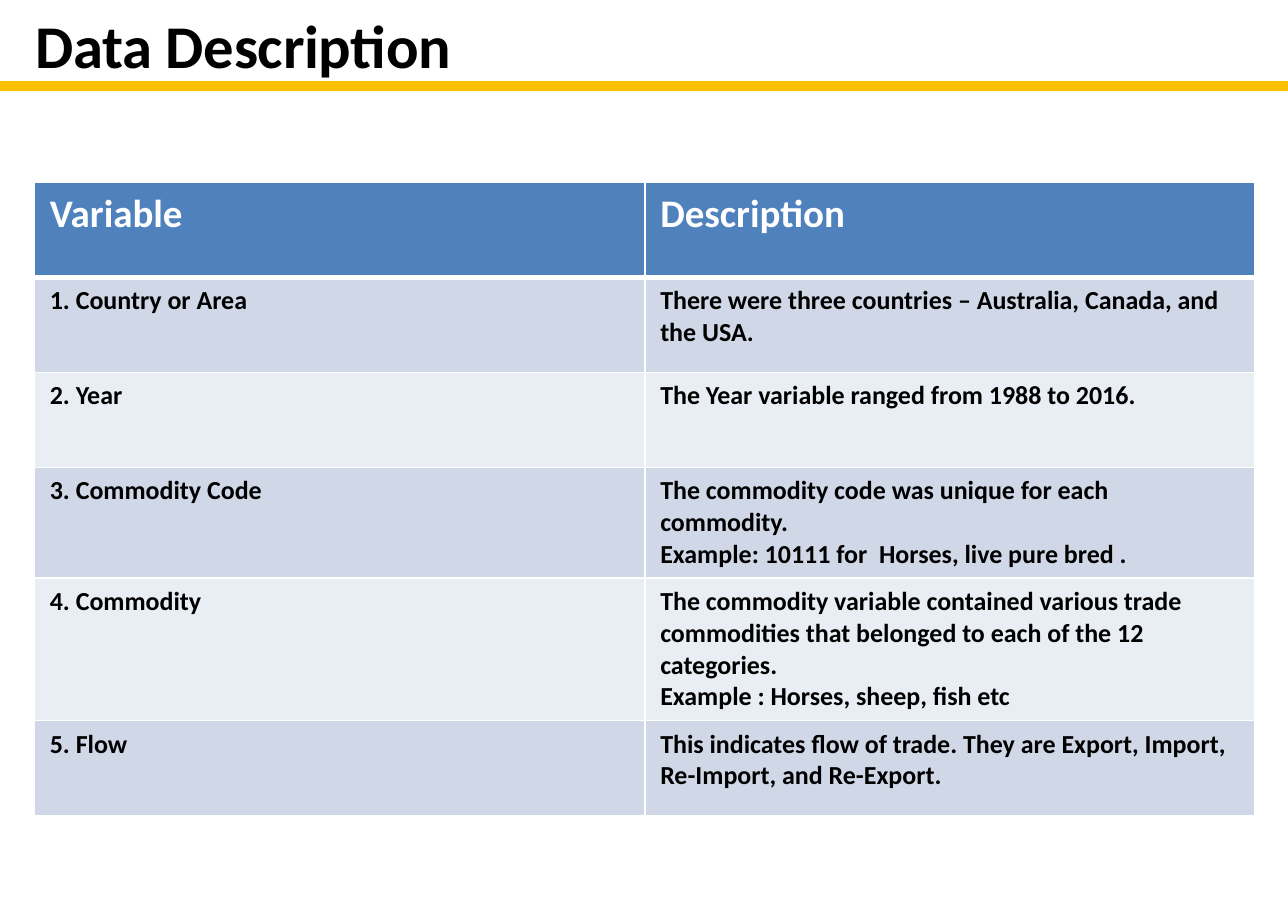
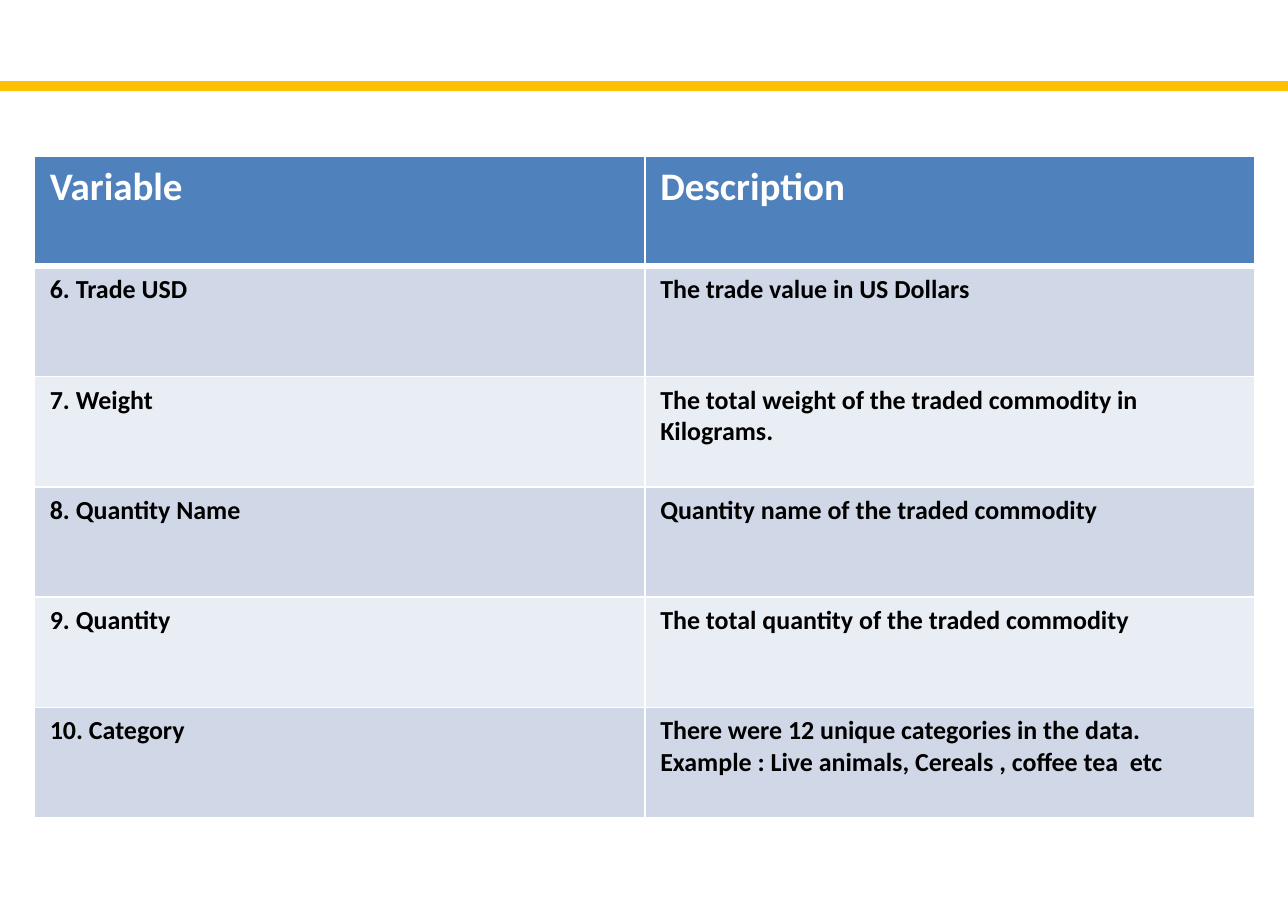
"""Build two slides that describe the variables of a trade data set."""
from dataclasses import dataclass

from lxml.etree import SubElement
from pptx import Presentation
from pptx.dml.color import RGBColor
from pptx.enum.shapes import MSO_SHAPE as Preset
from pptx.oxml.ns import qn
from pptx.util import Emu, Inches, Pt

SLIDE_WIDTH, SLIDE_HEIGHT = Inches(8.26), Inches(5.83)
BLANK_LAYOUT = 6
FONT = "Calibri"
BLACK = RGBColor(0x00, 0x00, 0x00)
WHITE = RGBColor(0xFF, 0xFF, 0xFF)
GOLD = RGBColor(0xFF, 0xC0, 0x00)
HEADER_BLUE = RGBColor(0x4F, 0x81, 0xBD)
ROW_FILLS = (RGBColor(0xE9, 0xED, 0xF4), RGBColor(0xD0, 0xD8, 0xE8))
HEADINGS = ("Variable", "Description")
TABLE_LEFT, TABLE_WIDTH = 2.66, 94.79
THIN, THICK = 1, 3


@dataclass(frozen=True)
class Variable:
    """A variable's name and the paragraphs describing it."""
    name: str
    description: str


@dataclass(frozen=True)
class Page:
    """A slide's title, table position in percent, and variables."""
    title: str
    table_top: float
    row_height: float
    variables: tuple[Variable, ...]


PAGES = (
    Page("Data Description", 20.07, 10.46, (
        Variable("1. Country or Area",
                 "There were three countries – Australia, Canada, and the USA."),
        Variable("2. Year", "The Year variable ranged from 1988 to 2016."),
        Variable("3. Commodity Code",
                 "The commodity code was unique for each commodity. \n"
                 "Example: 10111 for  Horses, live pure bred ."),
        Variable("4. Commodity",
                 "The commodity variable contained various trade commodities "
                 "that belonged to each of the 12 categories.\n"
                 "Example : Horses, sheep, fish etc"),
        Variable("5. Flow",
                 "This indicates flow of trade. They are Export, Import, "
                 "Re-Import, and Re-Export."),
    )),
    Page("", 17.15, 12.14, (
        Variable("6. Trade USD", "The trade value in US Dollars"),
        Variable("7. Weight",
                 "The total weight of the traded commodity in Kilograms."),
        Variable("8. Quantity Name", "Quantity name of the traded commodity"),
        Variable("9. Quantity", "The total quantity of the traded commodity"),
        Variable("10. Category",
                 "There were 12 unique categories in the data.\n"
                 "Example : Live animals, Cereals , coffee tea  etc"),
    )),
)


def across(percent: float) -> Emu:
    """Return a share of the slide's width."""
    return Emu(round(SLIDE_WIDTH * percent / 100))


def down(percent: float) -> Emu:
    """Return a share of the slide's height."""
    return Emu(round(SLIDE_HEIGHT * percent / 100))


def write(frame, text: str, *, size: float, color: RGBColor = BLACK,
          bold: bool = True, spacing: float = 0) -> None:
    """Fill a text frame with one paragraph per line of text."""
    frame.word_wrap = True
    frame.text = text
    for para in frame.paragraphs:
        for span in para.runs:
            font = span.font
            font.name, font.size, font.bold = FONT, Pt(size), bold
            font.color.rgb = color
            if spacing:
                span._r.get_or_add_rPr().set("spc", str(round(spacing * 100)))


def add_band(slide) -> None:
    """Draw the gold band under the title area."""
    band = slide.shapes.add_shape(Preset.RECTANGLE, 0, down(8.92),
                                  SLIDE_WIDTH, down(1.12))
    band.shadow.inherit = False
    band.fill.solid()
    band.fill.fore_color.rgb = GOLD
    band.line.fill.background()


def add_title(slide, title: str) -> None:
    """Place the title above the band."""
    box = slide.shapes.add_textbox(across(1.57), 0, across(49.4), down(9.78))
    write(box.text_frame, title, size=28, spacing=-0.1)


def set_borders(cell, top: float, bottom: float) -> None:
    """Give a cell white borders of the stated widths in points."""
    properties = cell._tc.get_or_add_tcPr()
    for side, width in (("L", THIN), ("R", THIN), ("T", top), ("B", bottom)):
        line = SubElement(properties, qn(f"a:ln{side}"), w=str(Pt(width)))
        fill = SubElement(line, qn("a:solidFill"))
        SubElement(fill, qn("a:srgbClr"), val=str(WHITE))


def add_table(slide, page: Page) -> None:
    """Draw the header row and one row for each variable."""
    rows = [HEADINGS, *((item.name, item.description) for item in page.variables)]
    table = slide.shapes.add_table(
        len(rows), len(HEADINGS), across(TABLE_LEFT), down(page.table_top),
        across(TABLE_WIDTH), down(page.row_height * len(rows))).table
    for number, texts in enumerate(rows):
        header = number == 0
        for column, text in enumerate(texts):
            cell = table.cell(number, column)
            write(cell.text_frame, text, size=18 if header else 12,
                  color=WHITE if header else BLACK)
            set_borders(cell, top=THICK if number == 1 else THIN,
                        bottom=THICK if header else THIN)
            cell.fill.solid()
            cell.fill.fore_color.rgb = HEADER_BLUE if header else ROW_FILLS[number % 2]


def main() -> None:
    """Build every page and save the deck."""
    deck = Presentation()
    deck.slide_width, deck.slide_height = SLIDE_WIDTH, SLIDE_HEIGHT
    for page in PAGES:
        slide = deck.slides.add_slide(deck.slide_layouts[BLANK_LAYOUT])
        add_band(slide)
        add_table(slide, page)
        if page.title:
            add_title(slide, page.title)
    deck.save("out.pptx")


main()
